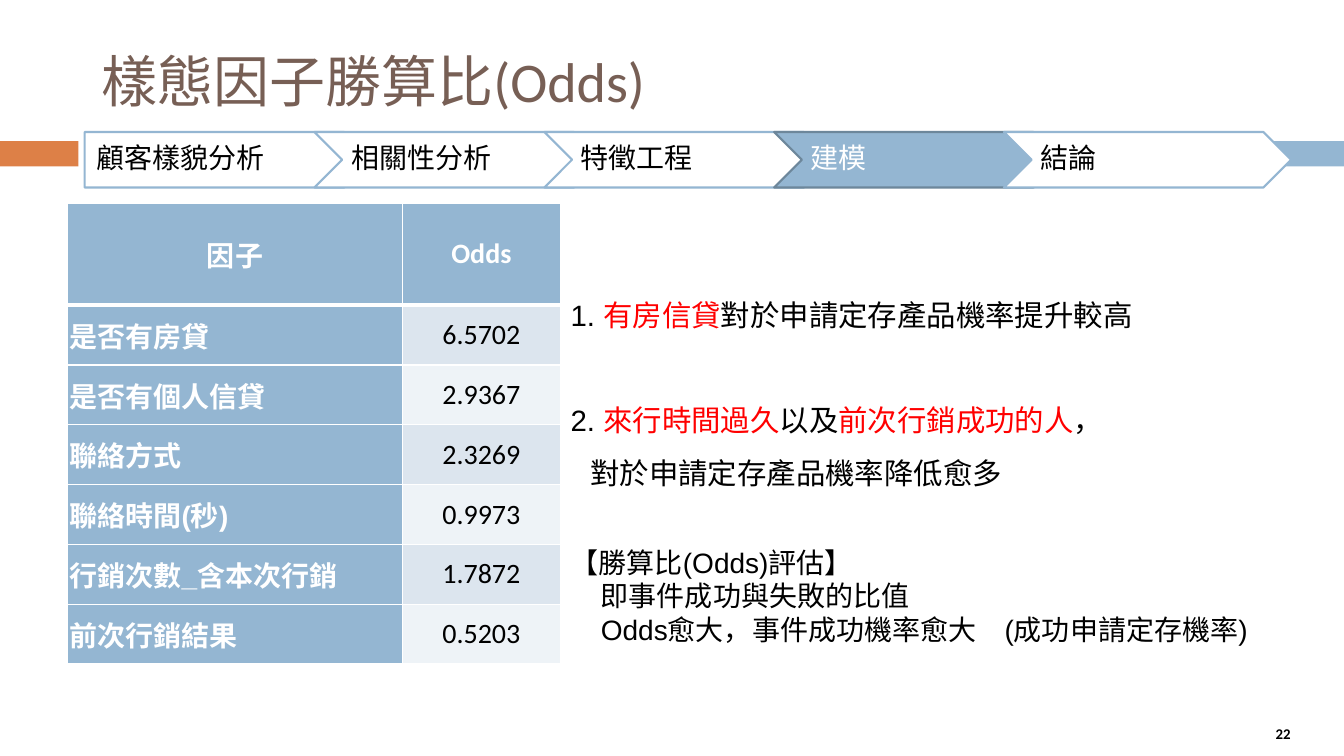
"""Build the slide on the odds ratios of the customer factors."""
from lxml.etree import SubElement
from pptx import Presentation
from pptx.dml.color import RGBColor
from pptx.enum.shapes import MSO_SHAPE as SHAPE
from pptx.enum.text import MSO_ANCHOR as ANCHOR, PP_ALIGN as ALIGN
from pptx.oxml.ns import qn
from pptx.util import Pt

BLUE, ORANGE, BROWN, SLATE = "94B6D2", "DD8047", "775F55", "6D879B"
WHITE, BLACK, RED = "FFFFFF", "000000", "FF0000"
BANDS = ("DCE5EE", "EEF3F7")
SC, TC = "Noto Sans CJK SC", "Noto Sans CJK TC"

TITLE = "樣態因子勝算比(Odds)"
PAGE = "22"
STEPS = ["顧客樣貌分析", "相關性分析", "特徵工程", "建模", "結論"]
CURRENT = "建模"
HEADER = ("因子", "Odds")
ODDS = [
    ("是否有房貸", "6.5702"),
    ("是否有個人信貸", "2.9367"),
    ("聯絡方式", "2.3269"),
    ("聯絡時間(秒)", "0.9973"),
    ("行銷次數_含本次行銷", "1.7872"),
    ("前次行銷結果", "0.5203"),
]
FINDINGS = [
    (0, 0, [("1. ", BLACK), ("有房信貸", RED), ("對於申請定存產品機率提升較高", BLACK)]),
    (37.5, 0, [("2. ", BLACK), ("來行時間過久", RED), ("以及", BLACK),
               ("前次行銷成功的人", RED), ("，", BLACK)]),
    (0, 14, [("對於申請定存產品機率降低愈多", BLACK)]),
]
NOTE = [
    (0, [("【", TC), ("勝算比(Odds)評估】", "Arial")]),
    (21.6, [("即事件成功與失敗的比值", "Arial")]),
    (21.6, [("Odds愈大，事件成功機率愈大　(成功申請定存機率)", "Arial")]),
]

STEP_LEFT, STEP_TOP, STEP_W, STEP_H, STEP_PITCH = 60.5, 94.3, 205.2, 39.6, 164.15
COLUMNS = (239, 113)
HEAD_H, ROW_H = 72.7, 42.7


def rgb(value):
    """Turn a hex string into a colour."""
    return RGBColor.from_string(value)


def add_run(p, text, size=20, font="Calibri", color=BLACK, bold=False):
    """Add formatted text to a paragraph."""
    r = p.add_run()
    r.text = text
    r.font.size, r.font.name, r.font.bold = Pt(size), font, bold
    r.font.color.rgb = rgb(color)
    if font in (SC, TC):
        SubElement(r.font._element, qn("a:ea"), typeface=font)


def set_margins(target, *margins):
    """Set left, top, right and bottom margins of a frame or cell."""
    (target.margin_left, target.margin_top,
     target.margin_right, target.margin_bottom) = map(Pt, margins)


def add_text(s, x, y, w, h, margins=(7.2, 3.6, 7.2, 3.6), anchor=ANCHOR.TOP):
    """Add an empty wrapping text box and return its frame."""
    tf = s.shapes.add_textbox(Pt(x), Pt(y), Pt(w), Pt(h)).text_frame
    tf.word_wrap, tf.vertical_anchor = True, anchor
    set_margins(tf, *margins)
    return tf


def add_block(s, kind, x, y, w, h, fill, line=None):
    """Add a filled preset shape with an optional outline."""
    sp = s.shapes.add_shape(kind, Pt(x), Pt(y), Pt(w), Pt(h))
    sp.shadow.inherit = False
    sp.fill.solid()
    sp.fill.fore_color.rgb = rgb(fill)
    if line:
        sp.line.color.rgb = rgb(line)
        sp.line.width = Pt(1.5)
    else:
        sp.line.fill.background()
    return sp


def next_paragraph(tf, i):
    """Return the first paragraph, or a new one after it."""
    return tf.add_paragraph() if i else tf.paragraphs[0]


def add_steps(s):
    """Draw the row of process arrows."""
    for i, name in enumerate(STEPS):
        active = name == CURRENT
        sp = add_block(s, SHAPE.CHEVRON if i else SHAPE.PENTAGON,
                       STEP_LEFT + i * STEP_PITCH, STEP_TOP, STEP_W, STEP_H,
                       BLUE if active else WHITE, SLATE if active else BLUE)
        tf = sp.text_frame
        tf.word_wrap, tf.vertical_anchor = True, ANCHOR.MIDDLE
        set_margins(tf, 6.3 if i else 8.4, 4.2, 2.1, 4.2)
        p = tf.paragraphs[0]
        p.alignment, p.line_spacing = ALIGN.LEFT, 0.9
        add_run(p, name, font=SC, color=WHITE if active else BLACK)


def set_cell(cell, text, fill, align, bottom=1, **style):
    """Fill a table cell with text, colour and white borders."""
    cell.vertical_anchor = ANCHOR.MIDDLE
    set_margins(cell, 1.2, 0, 1.2, 0)
    p = cell.text_frame.paragraphs[0]
    p.alignment = align
    add_run(p, text, **style)
    props = cell._tc.get_or_add_tcPr()
    for side, width in (("L", 1), ("R", 1), ("T", 1), ("B", bottom)):
        ln = SubElement(props, qn("a:ln" + side), w=str(Pt(width)))
        SubElement(SubElement(ln, qn("a:solidFill")), qn("a:srgbClr"), val=WHITE)
    cell.fill.solid()
    cell.fill.fore_color.rgb = rgb(fill)


def add_odds_table(s):
    """Draw the table of factors and odds."""
    table = s.shapes.add_table(len(ODDS) + 1, 2, Pt(48.4), Pt(145.4), Pt(sum(COLUMNS)),
                               Pt(HEAD_H + ROW_H * len(ODDS))).table
    for column, width in zip(table.columns, COLUMNS):
        column.width = Pt(width)
    for i, row in enumerate(table.rows):
        row.height = Pt(ROW_H if i else HEAD_H)
    for j, text in enumerate(HEADER):
        set_cell(table.cell(0, j), text, BLUE, ALIGN.CENTER, bottom=3,
                 color=WHITE, bold=True)
    for i, (factor, odds) in enumerate(ODDS, 1):
        set_cell(table.cell(i, 0), factor, BLUE, ALIGN.LEFT, bottom=1,
                 font="Arial", color=WHITE, bold=True)
        set_cell(table.cell(i, 1), odds, BANDS[(i - 1) % 2], ALIGN.CENTER)
        for j in range(2 if i == 1 else 0):
            top = table.cell(i, j)._tc.tcPr.find(qn("a:lnT"))
            top.set("w", str(Pt(3)))


def add_findings(s):
    """Write the numbered findings."""
    tf = add_text(s, 400.5, 195.8, 527, 160)
    for i, (before, indent, runs) in enumerate(FINDINGS):
        p = next_paragraph(tf, i)
        p.line_spacing, p.space_before = 1.5, Pt(before)
        p._p.get_or_add_pPr().set("marL", str(Pt(indent)))
        for text, color in runs:
            add_run(p, text, size=21, font="Arial", color=color)


def add_note(s):
    """Write the explanation of the odds."""
    tf = add_text(s, 400.5, 385.9, 543.6, 80)
    for i, (indent, runs) in enumerate(NOTE):
        p = next_paragraph(tf, i)
        p._p.get_or_add_pPr().set("marL", str(Pt(indent)))
        for text, font in runs:
            add_run(p, text, font=font)


def main():
    """Build and save the slide."""
    prs = Presentation()
    prs.slide_width, prs.slide_height = Pt(960), Pt(540)
    s = prs.slides.add_slide(prs.slide_layouts[6])
    add_block(s, SHAPE.RECTANGLE, 0, 100.8, 56, 18, ORANGE)
    add_block(s, SHAPE.RECTANGLE, 62, 100.8, 898, 18, BLUE)
    inner = (8.4, 4.2, 8.4, 4.2)
    title = add_text(s, 64.3, 18, 856, 78, inner, ANCHOR.MIDDLE)
    add_run(title.paragraphs[0], TITLE, size=40, color=BROWN)
    page = add_text(s, 888.5, 514, 56, 19.5, inner, ANCHOR.MIDDLE).paragraphs[0]
    page.alignment = ALIGN.CENTER
    add_run(page, PAGE, size=10.6, bold=True)
    add_odds_table(s)
    add_note(s)
    add_steps(s)
    add_findings(s)
    prs.save("out.pptx")


if __name__ == "__main__":
    main()
